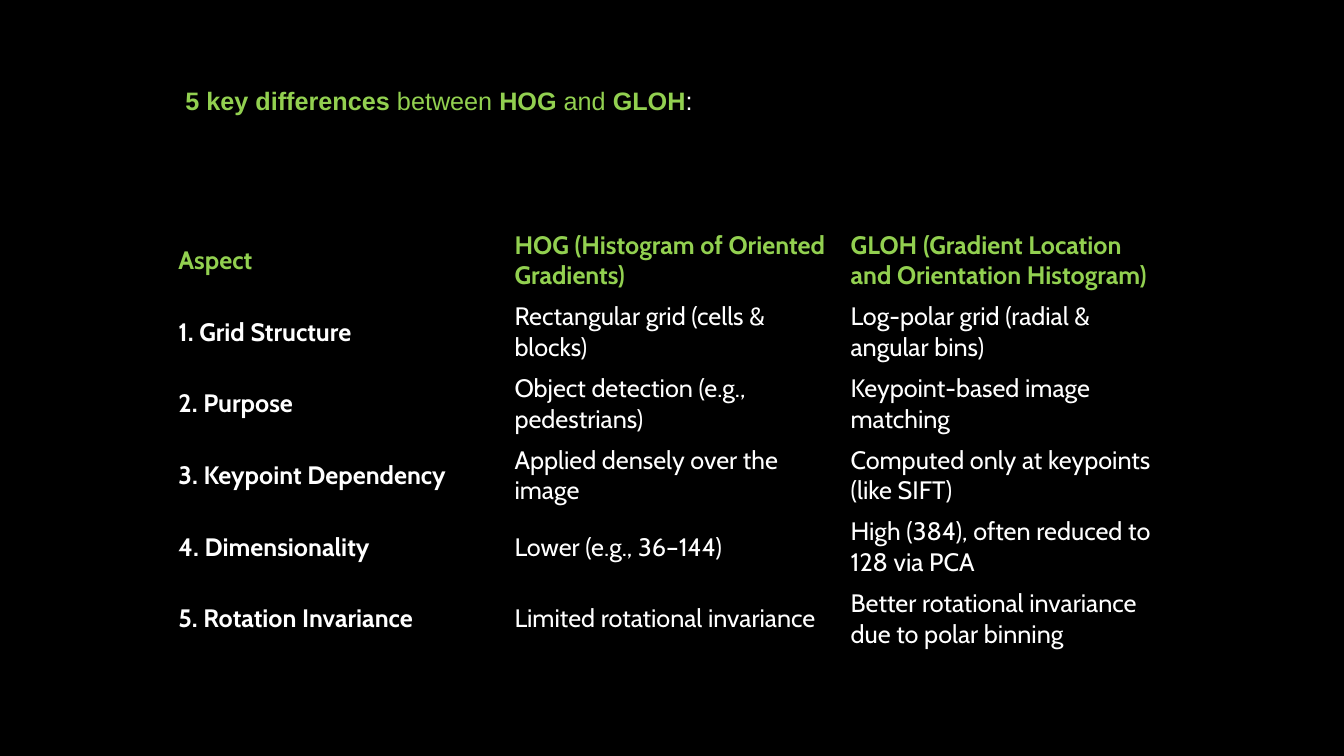
from typing import NamedTuple

from pptx import Presentation
from pptx import util as u
from pptx.dml.color import RGBColor
from pptx.enum import text
from pptx.oxml.ns import qn

GREEN, WHITE, BLACK = "92D050", "FFFFFF", "000000"
PLAIN = "{2D5ABB26-0587-4C30-8999-92F81FD0307C}"  # no style, no grid


class Part(NamedTuple):
    words: str
    color: str = GREEN
    bold: bool = False


class Row(NamedTuple):
    aspect: str
    hog: str
    gloh: str


TITLE = [
    Part(" ", WHITE),
    Part("5 key differences", bold=True),
    Part(" between "),
    Part("HOG", bold=True),
    Part(" and "),
    Part("GLOH", bold=True),
    Part(":", WHITE),
]
ROWS = [
    Row("Aspect", "HOG (Histogram of Oriented Gradients)",
        "GLOH (Gradient Location and Orientation Histogram)"),
    Row("1. Grid Structure", "Rectangular grid (cells & blocks)",
        "Log-polar grid (radial & angular bins)"),
    Row("2. Purpose", "Object detection (e.g., pedestrians)",
        "Keypoint-based image matching"),
    Row("3. Keypoint Dependency", "Applied densely over the image",
        "Computed only at keypoints (like SIFT)"),
    Row("4. Dimensionality", "Lower (e.g., 36–144)",
        "High (384), often reduced to 128 via PCA"),
    Row("5. Rotation Invariance", "Limited rotational invariance",
        "Better rotational invariance due to polar binning"),
]


def paint(fill, color: str) -> None:
    fill.solid()
    fill.fore_color.rgb = RGBColor.from_string(color)


def style(font, face: str, color: str, bold: bool) -> None:
    font.name, font.size, font.bold = face, u.Pt(18), bold
    paint(font.fill, color)


def add_title(slide, parts: list[Part]) -> None:
    box = slide.shapes.title
    box.left, box.top = u.Inches(1.67), u.Inches(0.77)
    box.width, box.height = u.Inches(5.35), u.Inches(0.71)
    frame = box.text_frame
    frame.word_wrap = False
    frame.auto_size = text.MSO_AUTO_SIZE.NONE
    frame.vertical_anchor = text.MSO_ANCHOR.TOP
    frame.margin_top = u.Inches(0.08)
    para = frame.paragraphs[0]
    para.alignment = text.PP_ALIGN.LEFT
    for part in parts:
        run = para.add_run()
        run.text = part.words
        style(run.font, "Arial", part.color, part.bold)


def add_grid(slide, rows: list[Row]) -> None:
    frame = slide.shapes.add_table(
        len(rows), len(Row._fields), u.Inches(1.67), u.Inches(2.23),
        u.Inches(10), u.Inches(4.2))
    table = frame.table
    table.horz_banding = False
    frame._element.find(".//" + qn("a:tableStyleId")).text = PLAIN
    for r, row in enumerate(rows):
        for c, words in enumerate(row):
            cell = table.cell(r, c)
            cell.fill.background()
            cell.vertical_anchor = text.MSO_ANCHOR.MIDDLE
            cell.text_frame.text = words
            run = cell.text_frame.paragraphs[0].runs[0]
            head = r == 0
            style(run.font, "Cabin", GREEN if head else WHITE, head or c == 0)


def main() -> None:
    deck = Presentation()
    deck.slide_width, deck.slide_height = u.Inches(13.33), u.Inches(7.5)
    slide = deck.slides.add_slide(deck.slide_layouts.get_by_name("Title Only"))
    paint(slide.background.fill, BLACK)
    # Heading
    add_title(slide, TITLE)
    # Comparison table
    add_grid(slide, ROWS)
    deck.save("out.pptx")


if __name__ == "__main__":
    main()
